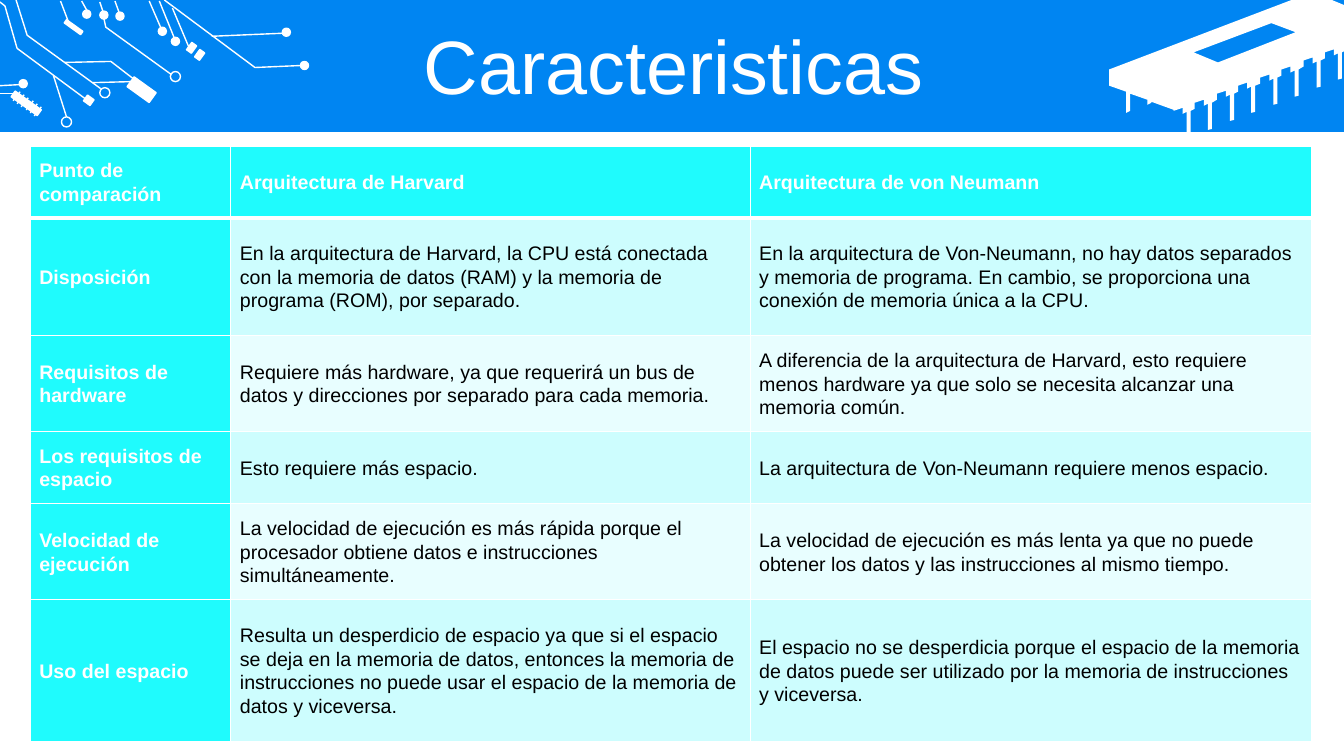
from lxml.etree import SubElement
from pptx import Presentation
from pptx.dml.color import RGBColor
from pptx.enum.shapes import MSO_CONNECTOR as Connector, MSO_SHAPE as Shape
from pptx.enum.text import MSO_ANCHOR as Anchor, PP_ALIGN as Align
from pptx.oxml.ns import qn
from pptx.util import Pt

PX = 9144
COLORS = {"band": "0085F2", "white": "FFFFFF", "black": "000000",
          "head": "1FFBFD", "odd": "CDFDFE", "even": "E8FEFF"}
TILT = 35.7

COLUMN_WIDTHS = [199, 515, 557]
ROW_HEIGHTS = [71, 117, 94, 72, 94, 141]
COMPARISON = [
    ("Punto de comparación", "Arquitectura de Harvard", "Arquitectura de von Neumann"),
    ("Disposición",
     "En la arquitectura de Harvard, la CPU está conectada con la memoria de datos (RAM) "
     "y la memoria de programa (ROM), por separado.",
     "En la arquitectura de Von-Neumann, no hay datos separados y memoria de programa. "
     "En cambio, se proporciona una conexión de memoria única a la CPU."),
    ("Requisitos de hardware",
     "Requiere más hardware, ya que requerirá un bus de datos y direcciones por separado "
     "para cada memoria.",
     "A diferencia de la arquitectura de Harvard, esto requiere menos hardware ya que solo "
     "se necesita alcanzar una memoria común."),
    ("Los requisitos de espacio",
     "Esto requiere más espacio.",
     "La arquitectura de Von-Neumann requiere menos espacio."),
    ("Velocidad de ejecución",
     "La velocidad de ejecución es más rápida porque el procesador obtiene datos e "
     "instrucciones simultáneamente.",
     "La velocidad de ejecución es más lenta ya que no puede obtener los datos y las "
     "instrucciones al mismo tiempo."),
    ("Uso del espacio",
     "Resulta un desperdicio de espacio ya que si el espacio se deja en la memoria de datos, "
     "entonces la memoria de instrucciones no puede usar el espacio de la memoria de datos "
     "y viceversa.",
     "El espacio no se desperdicia porque el espacio de la memoria de datos puede ser "
     "utilizado por la memoria de instrucciones y viceversa."),
]

PADS = [(298, 61), (280, 28), (82, 10), (99, 11), (115, 12), (19, 79), (170, 37), (157, 27)]
VIAS = [(169, 71), (99, 87), (61, 116)]
COMPONENTS = [(127, 83, 27, 12), (63, 25, 20, 4), (84, 96, 8, 7),
              (187, 43, 6, 9), (195, 50, 6, 9), (10, 99, 32, 7)]
TRACES = [
    [(163, 0), (253, 67), (299, 65)],
    [(16, 0), (27, 35), (100, 88)],
    [(0, 2), (5, 6), (17, 48), (86, 99)],
    [(64, 62), (110, 61), (132, 78)],
    [(103, 18), (105, 27), (170, 74)],
    [(60, 1), (68, 22)],
    [(81, 1), (86, 10)],
    [(99, 2), (102, 11)],
    [(114, 1), (118, 12)],
    [(148, 1), (161, 31)],
    [(158, 1), (173, 38)],
    [(210, 36), (280, 33)],
    [(171, 8), (187, 46)],
    [(0, 85), (19, 84)],
    [(0, 93), (14, 93)],
    [(53, 75), (66, 116)],
    [(92, 82), (130, 81)],
]
RIBS = [[(13 + round(4.2 * i), 100 + 3 * i), (20 + round(4.2 * i), 91 + 3 * i)]
        for i in range(6)]


def rgb(name):
    return RGBColor.from_string(COLORS[name])


def paint(shape, fill=None, line=None):
    shape.shadow.inherit = False
    if fill:
        shape.fill.solid()
        shape.fill.fore_color.rgb = rgb(fill)
    else:
        shape.fill.background()
    if line:
        shape.line.color.rgb = rgb(line)
        shape.line.width = Pt(1)
    else:
        shape.line.fill.background()


def add_preset(slide, kind, left, top, width, height, fill=None, line=None, angle=0):
    shape = slide.shapes.add_shape(kind, left * PX, top * PX, width * PX, height * PX)
    shape.rotation = angle
    paint(shape, fill, line)


def write(paragraph, text, size, color, bold=False):
    run = paragraph.add_run()
    run.text = text
    run.font.name = "Arial"
    run.font.size = Pt(size)
    run.font.bold = bold
    run.font.color.rgb = rgb(color)


def draw_trace(slide, left, top, points):
    points = [(left + x, top + y) for x, y in points]
    if len(points) > 2:
        builder = slide.shapes.build_freeform(*points[0], scale=PX)
        builder.add_line_segments(points[1:], close=False)
        paint(builder.convert_to_shape(), line="white")
        return
    ends = [length * PX for point in points for length in point]
    trace = slide.shapes.add_connector(Connector.STRAIGHT, *ends)
    trace.line.color.rgb = rgb("white")
    trace.line.width = Pt(1)
    SubElement(trace._element.spPr, qn("a:effectLst"))


def draw_circuit(slide, left, top):
    for x, y, width, height in COMPONENTS:
        add_preset(slide, Shape.RECTANGLE, left + x, top + y, width, height,
                   "white", "white", TILT)
    for x, y in PADS:
        add_preset(slide, Shape.OVAL, left + x, top + y, 8, 8, "white", "white")
    for points in TRACES + RIBS:
        draw_trace(slide, left, top, points)
    for x, y in VIAS:
        add_preset(slide, Shape.OVAL, left + x, top + y, 10, 10, line="white")


def draw_chip(slide, left, top):
    body = [(181, 0), (221, 0), (233, 5), (233, 51)]
    pin = [(0, 0), (0, 26), (-4, 27), (-4, 1), (-8, 3), (-8, -3), (-17, 0), (-17, 6)]
    for i in range(8):
        x, y = 231 - round(150 * i / 7), 52 + round(58 * i / 7)
        body += [(x + dx, y + dy) for dx, dy in pin]
    body[-1] = (64, 109)
    body += [(42, 101), (42, 102), (38, 104), (38, 99), (21, 93), (21, 110),
             (17, 112), (17, 91), (0, 85), (0, 69)]
    window = [(161, 23), (84, 52), (108, 62), (185, 32)]
    builder = slide.shapes.build_freeform(*body[0], scale=PX)
    builder.add_line_segments(body[1:])
    builder.move_to(*window[0])
    builder.add_line_segments(window[1:])
    paint(builder.convert_to_shape(left * PX, top * PX), "white")


def draw_header(slide, left, top, width, height):
    add_preset(slide, Shape.RECTANGLE, left, top, width, height, "band")
    draw_chip(slide, left + width - 233, top)
    draw_circuit(slide, left, top)
    title = slide.shapes.add_textbox((left + 35) * PX, (top + 30) * PX,
                                     (width - 67) * PX, 79 * PX).text_frame
    title.word_wrap = True
    title.vertical_anchor = Anchor.MIDDLE
    heading = title.paragraphs[0]
    heading.alignment = Align.CENTER
    heading.line_spacing = 0.9
    write(heading, "Caracteristicas", 54, "white")


def add_borders(cell, row):
    properties = cell._tc.get_or_add_tcPr()
    widths = {"L": 1, "R": 1, "T": 3 if row == 1 else 1, "B": 3 if row == 0 else 1}
    for side, width in widths.items():
        border = SubElement(properties, qn(f"a:ln{side}"), w=str(Pt(width)))
        fill = SubElement(border, qn("a:solidFill"))
        SubElement(fill, qn("a:srgbClr"), val=COLORS["white"])


def fill_cell(cell, text, row, column):
    is_label = row == 0 or column == 0
    add_borders(cell, row)
    cell.fill.solid()
    cell.fill.fore_color.rgb = rgb("head" if is_label else "odd" if row % 2 else "even")
    cell.vertical_anchor = Anchor.MIDDLE
    cell.margin_left = cell.margin_right = 9 * PX
    cell.margin_top = cell.margin_bottom = 10 * PX
    paragraph = cell.text_frame.paragraphs[0]
    paragraph.line_spacing = 1.07
    paragraph.space_after = Pt(8)
    write(paragraph, text, 14, "white" if is_label else "black", is_label)


def draw_comparison(slide, left, top):
    table = slide.shapes.add_table(
        len(ROW_HEIGHTS), len(COLUMN_WIDTHS), left * PX, top * PX,
        sum(COLUMN_WIDTHS) * PX, sum(ROW_HEIGHTS) * PX).table
    for column, width in zip(table.columns, COLUMN_WIDTHS):
        column.width = width * PX
    for r, (height, texts) in enumerate(zip(ROW_HEIGHTS, COMPARISON)):
        table.rows[r].height = height * PX
        for c, text in enumerate(texts):
            fill_cell(table.cell(r, c), text, r, c)


def main():
    deck = Presentation()
    deck.slide_width, deck.slide_height = 1333 * PX, 750 * PX
    slide = deck.slides.add_slide(deck.slide_layouts[6])
    draw_header(slide, 0, 0, 1333, 131)
    draw_comparison(slide, 30, 145)
    deck.save("out.pptx")


if __name__ == "__main__":
    main()
